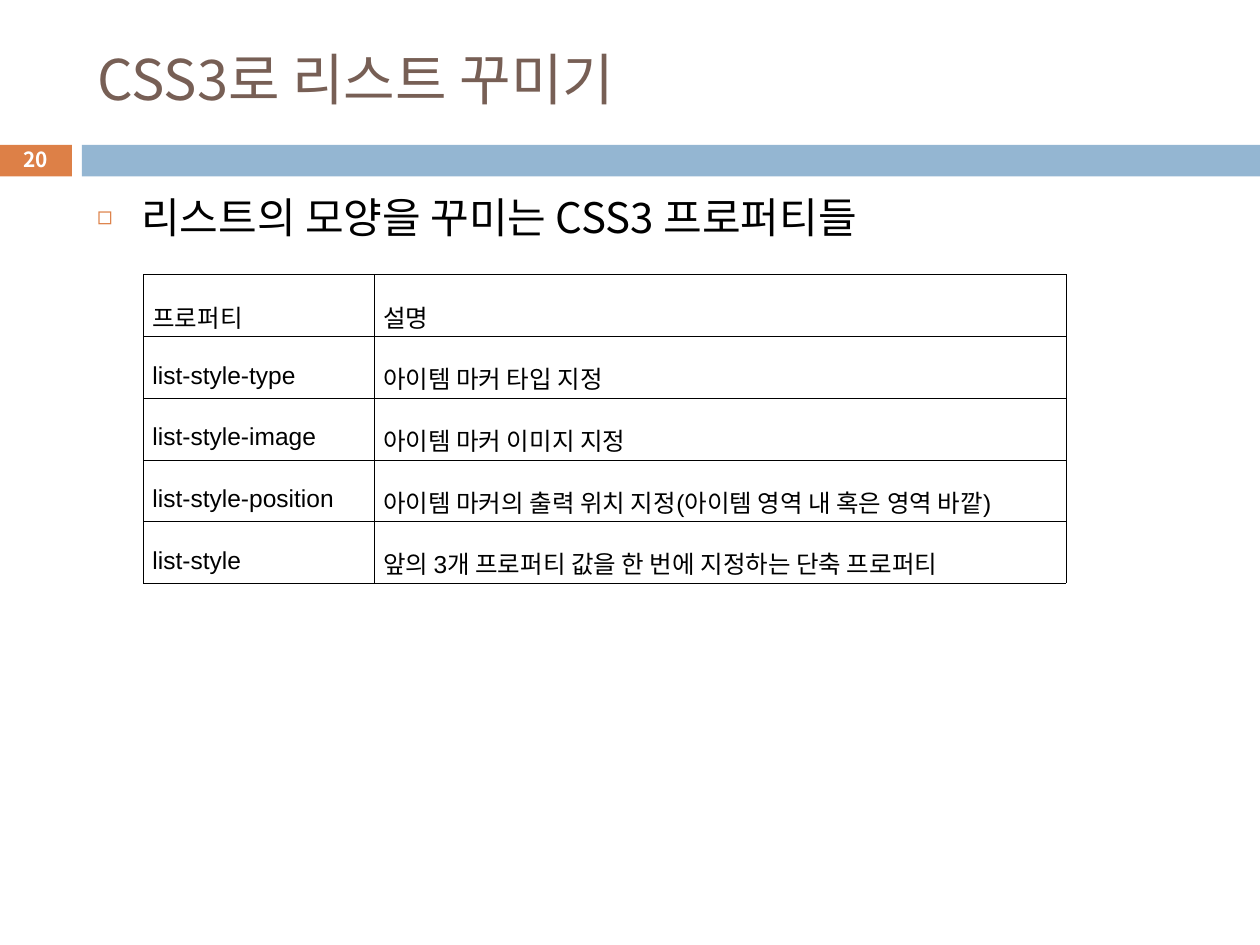
from dataclasses import dataclass

from lxml import etree
from pptx import Presentation, util as u
from pptx.dml.color import RGBColor
from pptx.enum import shapes, text
from pptx.oxml.ns import qn


@dataclass(frozen=True)
class Theme:
    accent: str = "DD8047"
    bar: str = "94B6D2"
    head: str = "775F55"
    ink: str = "000000"
    white: str = "FFFFFF"
    sans: str = "Noto Sans CJK KR"
    latin: str = "Arial"
    title: float = 32
    body: float = 24
    cell: float = 14
    page: float = 11.9
    rule: float = 0.28


T = Theme()
WIDE, HIGH = 10, 7.5
LEFT, SPAN = 0.67, 8.92     # shared column of title and body
BAND, DEEP = 1.15, 0.25     # band under the title
TAB, GAP = 0.58, 0.08       # page tab and the gap beside it
UNIT, ROW = 1.83, 0.49      # table grid: columns are 1 and 3 units wide

ROWS = [
    ("프로퍼티", "설명"),
    ("list-style-type ", "아이템 마커 타입 지정"),
    ("list-style-image", "아이템 마커 이미지 지정"),
    ("list-style-position", "아이템 마커의 출력 위치 지정(아이템 영역 내 혹은 영역 바깥)"),
    ("list-style", "앞의 3개 프로퍼티 값을 한 번에 지정하는 단축 프로퍼티"),
]


def apply(obj, **vals):
    for key, val in vals.items():
        setattr(obj, key, val)


def place(shape, *box):
    keys = ("left", "top", "width", "height")
    apply(shape, **dict(zip(keys, map(u.Inches, box))))


def add(root, tag, **attrs):
    return etree.SubElement(root, qn(tag), attrs)


def write(frame, words, size, color, font=T.sans, bold=False, **form):
    """Fill a frame with one formatted paragraph."""
    para = frame.paragraphs[0]
    apply(para, **form)
    run = para.add_run()
    run.text = words
    apply(run.font, size=u.Pt(size), name=font, bold=bold)
    run.font.color.rgb = RGBColor.from_string(color)
    add(run.font._element, "a:ea", typeface=T.sans)
    return para


def block(slide, color, *box):
    shape = slide.shapes.add_shape(shapes.MSO_SHAPE.RECTANGLE,
                                   *map(u.Inches, box))
    shape.shadow.inherit = False
    shape.fill.solid()
    shape.fill.fore_color.rgb = RGBColor.from_string(color)
    shape.line.fill.background()


def bullet(para):
    props = para._p.get_or_add_pPr()
    indent = u.Inches(0.35)
    apply(para, space_before=u.Pt(7))
    props.set("marL", str(indent))
    props.set("indent", str(-indent))
    add(add(props, "a:buClr"), "a:srgbClr", val=T.accent)
    add(props, "a:buSzPct", val="60000")
    add(props, "a:buChar", char="◻")


def border(cell):
    props = cell._tc.get_or_add_tcPr()
    for spot, side in enumerate("LRTB"):
        line = etree.Element(qn("a:ln" + side), w=str(u.Pt(T.rule)))
        add(add(line, "a:solidFill"), "a:srgbClr", val=T.ink)
        props.insert(spot, line)


def grid(slide, left, top):
    frame = slide.shapes.add_table(
        len(ROWS), 2, *map(u.Inches, (left, top, 4 * UNIT, ROW * len(ROWS))))
    table = frame.table
    apply(table, first_row=False, horz_banding=False)
    for col, share in zip(table.columns, (1, 3)):
        col.width = u.Inches(share * UNIT)
    for r, row in enumerate(ROWS):
        for c, words in enumerate(row):
            cell = table.cell(r, c)
            apply(cell, vertical_anchor=text.MSO_ANCHOR.MIDDLE,
                  margin_left=u.Inches(0.07), margin_right=u.Inches(0.07),
                  margin_top=u.Inches(0.02), margin_bottom=u.Inches(0.02))
            cell.fill.background()
            write(cell.text_frame, words, T.cell, T.ink, T.latin,
                  alignment=text.PP_ALIGN.JUSTIFY, line_spacing=1.6)
            border(cell)


def number(slide, words, *box):
    frame = slide.shapes.add_textbox(*map(u.Inches, box)).text_frame
    apply(frame, word_wrap=True, vertical_anchor=text.MSO_ANCHOR.MIDDLE,
          margin_left=0, margin_right=0, margin_top=0, margin_bottom=0)
    write(frame, words, T.page, T.white, bold=True,
          alignment=text.PP_ALIGN.CENTER)


def main():
    deck = Presentation()
    apply(deck, slide_width=u.Inches(WIDE), slide_height=u.Inches(HIGH))
    slide = deck.slides.add_slide(deck.slide_layouts[1])

    # Title and body
    title, body = slide.placeholders
    place(title, LEFT, 0.25, SPAN, 0.74)
    place(body, LEFT, 1.47, SPAN, 5.51)
    for shape in (title, body):
        shape.text_frame.auto_size = text.MSO_AUTO_SIZE.NONE
    title.text_frame.vertical_anchor = text.MSO_ANCHOR.MIDDLE
    write(title.text_frame, "CSS3로 리스트 꾸미기", T.title, T.head,
          alignment=text.PP_ALIGN.LEFT)
    bullet(write(body.text_frame, "리스트의 모양을 꾸미는 CSS3 프로퍼티들",
                 T.body, T.ink))

    # Band with the page tab
    start = TAB + GAP - 0.01
    block(slide, T.accent, -0.01, BAND, TAB, DEEP)
    block(slide, T.bar, start, BAND, WIDE - start, DEEP)
    number(slide, "20", -0.01, BAND - 0.02, TAB, DEEP + 0.02)

    # Property table
    grid(slide, 1.14, 2.18)
    deck.save("out.pptx")


if __name__ == "__main__":
    main()
